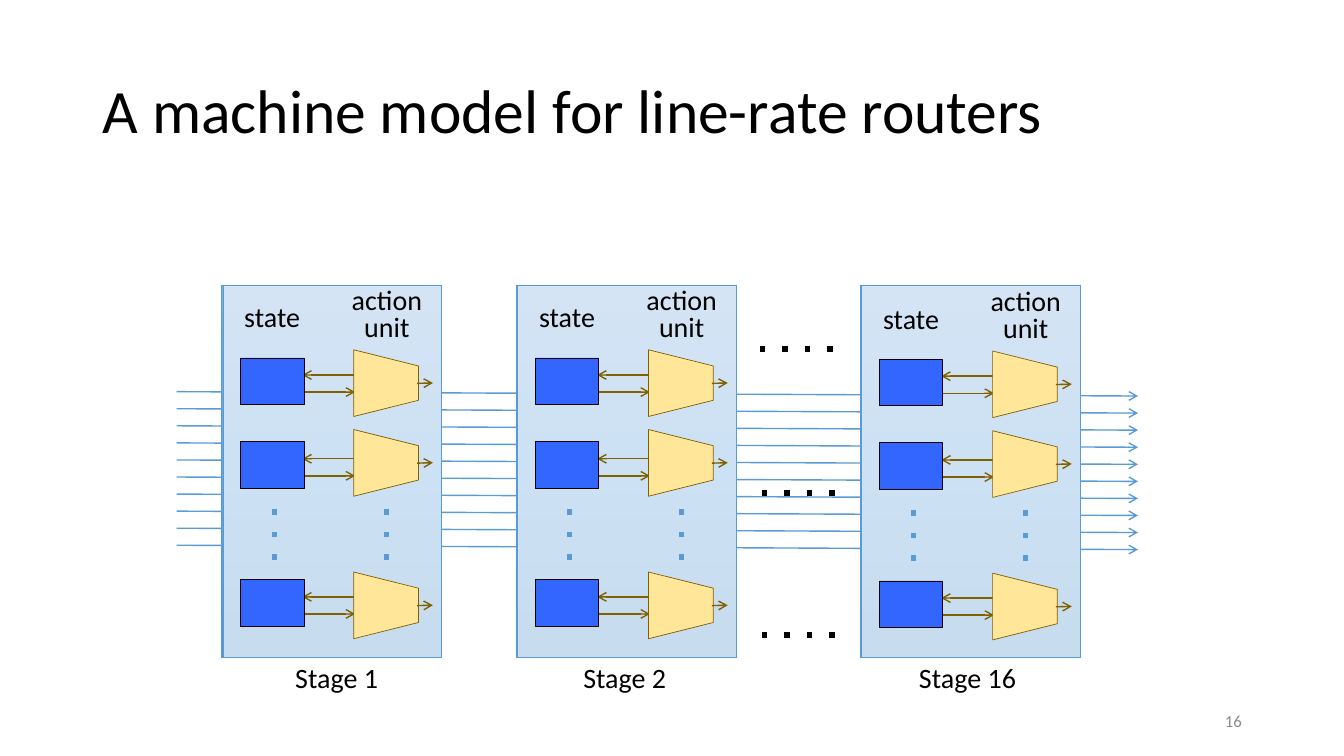
from copy import deepcopy
from dataclasses import dataclass

from lxml import etree
from pptx import Presentation
from pptx.dml.color import RGBColor
from pptx.enum.shapes import MSO_CONNECTOR, MSO_SHAPE
from pptx.enum.text import MSO_ANCHOR, MSO_AUTO_SIZE, PP_ALIGN
from pptx.oxml.ns import qn
from pptx.shapes.autoshape import Shape
from pptx.util import Cm, Pt

LINE = MSO_CONNECTOR.STRAIGHT
RECT, TRAP = MSO_SHAPE.RECTANGLE, MSO_SHAPE.TRAPEZOID
MIDDLE, TOP = MSO_ANCHOR.MIDDLE, MSO_ANCHOR.TOP
LEFT, CENTER, RIGHT = PP_ALIGN.LEFT, PP_ALIGN.CENTER, PP_ALIGN.RIGHT
NO_FIT = MSO_AUTO_SIZE.NONE

FONT = "Calibri"
COLORS = {
    "black": "000000", "white": "FFFFFF", "gray": "8C8C8C",
    "blue": "5B9BD5", "state": "3366FF", "unit": "FFE699", "brown": "806000",
    "top": "71A6DB", "mid": "559BDB", "low": "448ACA",
}


@dataclass(frozen=True)
class Stage:
    name: str
    left: float
    label: float  # left edge of the caption
    width: float  # width of the caption
    drop: float = 0


@dataclass(frozen=True)
class Row:
    state: float  # top of the state square
    unit: float  # top of the action unit


STAGES = (
    Stage("Stage 1", 5.59, 7.19, 2.87),
    Stage("Stage 2", 13.02, 14.45, 2.87),
    Stage("Stage 16", 21.69, 22.91, 3.25, 0.03),
)
ROWS = (Row(9.02, 8.84), Row(11.13, 10.85), Row(14.61, 14.44))
GAPS = ((19.15, 8.79), (19.2, 16), (19.2, 12.42))

prs = Presentation()
prs.slide_width, prs.slide_height = Cm(33.87), Cm(19.05)
slide = prs.slides.add_slide(prs.slide_layouts[5])


def rgb(name: str) -> RGBColor:
    return RGBColor.from_string(COLORS[name])


def add_line(x1: float, y1: float, x2: float, y2: float, color: str,
             width: float = 1, dots: bool = False) -> None:
    """Draw an arrow, or a dotted line without a head."""
    line = slide.shapes.add_connector(LINE, Cm(x1), Cm(y1), Cm(x2), Cm(y2))
    line.line.color.rgb = rgb(color)
    line.line.width = Pt(width)
    props = line._element.spPr
    ln = props.find(qn("a:ln"))
    if dots:
        etree.SubElement(ln, qn("a:prstDash"), val="dot")
    else:
        etree.SubElement(ln, qn("a:tailEnd"), type="arrow")
    etree.SubElement(props, qn("a:effectLst"))


def add_box(kind: MSO_SHAPE, x: float, y: float, w: float, h: float,
            fill: str, edge: str) -> Shape:
    box = slide.shapes.add_shape(kind, Cm(x), Cm(y), Cm(w), Cm(h))
    box.shadow.inherit = False
    box.fill.solid()
    box.fill.fore_color.rgb = rgb(fill)
    box.line.color.rgb = rgb(edge)
    box.line.width = Pt(0.5)
    return box


def add_text(text: str, x: float, y: float, w: float, h: float,
             align: PP_ALIGN = LEFT, size: float = 20, color: str = "black",
             wrap: bool = True, anchor: MSO_ANCHOR = TOP,
             tight: bool = False) -> None:
    """Add a label; a tight one has wide margins and close lines."""
    frame = slide.shapes.add_textbox(Cm(x), Cm(y), Cm(w), Cm(h)).text_frame
    frame.word_wrap = wrap
    frame.vertical_anchor = anchor
    para = frame.paragraphs[0]
    para.text = text
    para.alignment = align
    para.font.size, para.font.name = Pt(size), FONT
    para.font.color.rgb = rgb(color)
    if tight:
        frame.margin_left = frame.margin_right = Cm(0.36)
        frame.margin_top = frame.margin_bottom = Cm(0.18)
        para.line_spacing = 0.8


def add_panel(x: float) -> None:
    """Draw a shaded stage panel under a translucent white veil."""
    panel = add_box(RECT, x, 7.19, 5.54, 9.37, "blue", "blue")
    panel.fill.gradient()
    panel.fill.gradient_angle = 270
    stops = panel._element.spPr.find(qn("a:gradFill")).find(qn("a:gsLst"))
    stops.append(deepcopy(stops[-1]))
    shades = zip(panel.fill.gradient_stops, ("top", "mid", "low"), (0, 0.5, 1))
    for stop, shade, place in shades:
        stop.color.rgb = rgb(shade)
        stop.position = place
    veil = add_box(RECT, x + 0.03, 7.19, 5.51, 9.37, "white", "blue")
    tint = veil._element.spPr.find(qn("a:solidFill"))[0]
    etree.SubElement(tint, qn("a:alpha"), val="70000")


def add_row(x: float, row: Row, drop: float) -> None:
    """Draw a state square and its action unit, with their arrows."""
    state, unit = row.state + drop, row.unit + drop
    add_line(x + 1.35, state + 0.86, x + 3.36, state + 0.86, "brown")
    add_line(x + 3.51, state + 0.43, x + 2.03, state + 0.43, "brown")
    add_box(RECT, x + 0.47, state, 1.6, 1.17, "state", "black")
    add_box(TRAP, x + 3.3, unit, 1.68, 1.63, "unit", "brown").rotation = 90
    add_line(x + 4.92, unit + 0.82, x + 5.32, unit + 0.81, "brown")


def add_stage(stage: Stage) -> None:
    x, drop = stage.left, stage.drop
    add_panel(x)
    add_text(stage.name, stage.label, 16.51, stage.width, 1.12, wrap=False)
    add_text("state", x - 0.15, 7.54 + drop, 2.84, 1.07, CENTER, tight=True)
    add_text("action unit", x + 2.79, 7.1 + drop, 2.74, 1.75, CENTER,
             tight=True)
    for row in ROWS:
        add_row(x, row, drop)
    for dots in (x + 1.33, x + 4.15):
        add_line(dots, 12.83 + drop, dots, 14.2 + drop, "blue", 4, True)


def add_title(text: str) -> None:
    title = slide.shapes.title
    title.left, title.top = Cm(2.33), Cm(1.02)
    title.width, title.height = Cm(29.21), Cm(3.68)
    frame = title.text_frame
    frame.text = text
    frame.auto_size = NO_FIT
    frame.vertical_anchor = MIDDLE
    para = frame.paragraphs[0]
    para.alignment, para.line_spacing = LEFT, 0.9
    para.font.size, para.font.name = Pt(44), FONT
    para.font.color.rgb = rgb("black")


def main() -> None:
    add_title("A machine model for line-rate routers")
    add_text("16", 23.93, 17.65, 7.62, 1.02, RIGHT, 12, "gray", anchor=MIDDLE)
    for i in range(10):
        y = 9.87 + 0.43 * i
        add_line(4.45, y, 28.68, y + 0.11, "blue")
    for x, y in GAPS:
        add_line(x, y, x + 2.19, y, "black", 4, True)
    for stage in STAGES:
        add_stage(stage)
    prs.save("out.pptx")


if __name__ == "__main__":
    main()
